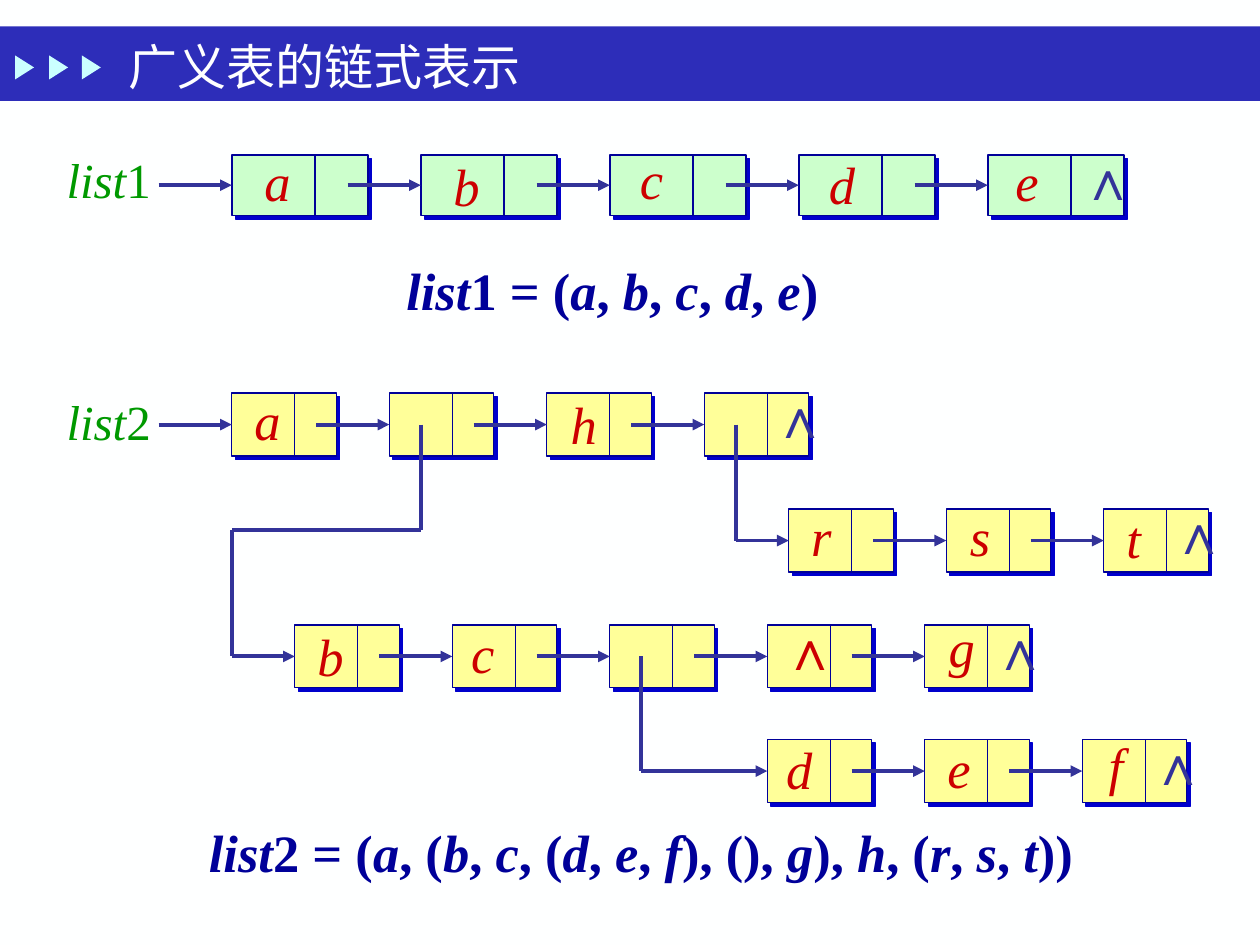
"""Build a slide that shows two generalized lists as linked nodes."""
from itertools import groupby
from lxml import etree
from pptx import Presentation
from pptx.dml.color import RGBColor
from pptx.enum.shapes import MSO_CONNECTOR, MSO_SHAPE
from pptx.enum.text import MSO_ANCHOR, MSO_AUTO_SIZE, PP_ALIGN
from pptx.oxml.ns import qn
from pptx.util import Pt

PX = 9144
STRAIGHT = MSO_CONNECTOR.STRAIGHT
RECTANGLE = MSO_SHAPE.RECTANGLE
TRIANGLE = MSO_SHAPE.ISOSCELES_TRIANGLE
LEFT, CENTER = PP_ALIGN.LEFT, PP_ALIGN.CENTER
MIDDLE = MSO_ANCHOR.MIDDLE
NO_AUTO_SIZE = MSO_AUTO_SIZE.NONE
FIT_SHAPE = MSO_AUTO_SIZE.SHAPE_TO_FIT_TEXT
SERIF, SANS = "Times New Roman", "Noto Sans CJK SC"
COLORS = {
    "paper": "FEFFFF", "band": "2D2DB9", "marker": "CBFFFF",
    "formula": "000099", "border": "000099", "shadow": "0000CC",
    "arrow": "333399", "atom": "CC0000", "name": "009900",
    "green": "CCFFCC", "yellow": "FFFF99",
}
RGB = {name: RGBColor.from_string(value) for name, value in COLORS.items()}
LETTER_WIDTHS = {"c": 39, "e": 39, "h": 43, "s": 36, "r": 36, "t": 32, "f": 34, "∧": 47}

presentation = Presentation()
presentation.slide_width, presentation.slide_height = 1000 * PX, 750 * PX
slide = presentation.slides.add_slide(presentation.slide_layouts[5])
slide.background.fill.solid()
slide.background.fill.fore_color.rgb = RGB["paper"]
shapes = slide.shapes


def add_text(text, left, top, width, height, size, color, bold=False, wrap=False, align=LEFT):
    box = shapes.add_textbox(left * PX, top * PX, width * PX, height * PX)
    box.text_frame.word_wrap = wrap
    box.text_frame.auto_size = FIT_SHAPE
    paragraph = box.text_frame.paragraphs[0]
    paragraph.alignment = align
    for is_letter, characters in groupby(text, str.isalpha):
        run = paragraph.add_run()
        run.text = "".join(characters)
        run.font.name, run.font.size = SERIF, Pt(size)
        run.font.bold, run.font.italic = bold, is_letter
        run.font.color.rgb = RGB[color]


def add_line(start, end, color, weight, target=None):
    line = shapes.add_connector(STRAIGHT, *(value * PX for value in start + end))
    line.line.color.rgb = RGB[color]
    line.line.width = Pt(weight)
    properties = line._element.spPr
    etree.SubElement(properties, qn("a:effectLst"))
    if target is not None:
        etree.SubElement(properties.find(qn("a:ln")), qn("a:tailEnd"), type="triangle")
        line.end_connect(target, 1)


band = shapes.add_shape(RECTANGLE, 0, 21 * PX, 1000 * PX, 59 * PX)
markers = [shapes.add_shape(TRIANGLE, left * PX, 46 * PX, 19 * PX, 15 * PX) for left in (10, 37, 63)]
for shape, color in [(band, "band")] + [(marker, "marker") for marker in markers]:
    shape.shadow.inherit = False
    shape.fill.solid()
    shape.fill.fore_color.rgb = RGB[color]
    shape.line.fill.background()
for marker in markers:
    marker.rotation = 90

title = shapes.title
title.left, title.top, title.width, title.height = 92 * PX, 27 * PX, 700 * PX, 50 * PX
title.text_frame.text = "广义表的链式表示"
title.text_frame.vertical_anchor = MIDDLE
title.text_frame.auto_size = NO_AUTO_SIZE
title_paragraph = title.text_frame.paragraphs[0]
title_paragraph.alignment = LEFT
title_font = title_paragraph.runs[0].font
title_font.name, title_font.size = SANS, Pt(28)
title_font.color.rgb = RGB["paper"]
etree.SubElement(title_paragraph.runs[0]._r.rPr, qn("a:ea"), typeface=SANS)
shapes._spTree.append(title._element)

add_text("list1 = (a, b, c, d, e)", 38, 200, 896, 60, 30, "formula", True, True, CENTER)
add_text("list2 = (a, (b, c, (d, e, f), (), g), h, (r, s, t))", 156, 646, 721, 60, 30, "formula", True, True)
add_text("list1", 43, 114, 87, 57, 28, "name")
add_text("list2", 43, 306, 87, 57, 28, "name")

WIDE = {"step": 150, "width": 108, "height": 48, "divider": 66, "nil": 64, "fill": "green"}
NARROW = {"step": 125, "width": 83, "height": 50, "divider": 50, "nil": 44, "fill": "yellow"}
ROWS = [
    (WIDE, 184, 123, 58, [("a", 16, -10), ("b", 16, -6), ("c", 14, -11), ("d", 14, -7), ("e", 12, -10)]),
    (NARROW, 184, 312, 58, [("a", 8, -9), None, ("h", 9, -6), None]),
    (NARROW, 626, 404, 42, [("r", 8, -9), ("s", 9, -9), ("t", 8, -7)]),
    (NARROW, 234, 496, 50, [("b", 8, -6), ("c", 5, -8), None, ("∧", 2, -13), ("g", 9, -13)]),
    (NARROW, 609, 587, 100, [("d", 5, -7), ("e", 8, -8), ("f", 11, -10)]),
]
for style, row_left, top, first_arrow, atoms in ROWS:
    middle = top + style["height"] // 2
    for index, atom in enumerate(atoms):
        left = row_left + index * style["step"]
        node = shapes.add_shape(RECTANGLE, left * PX, top * PX, style["width"] * PX, style["height"] * PX)
        node.fill.solid()
        node.fill.fore_color.rgb = RGB[style["fill"]]
        node.line.color.rgb = RGB["border"]
        node.line.width = Pt(0.75)
        node.shadow.inherit = False
        effects = node._element.spPr.find(qn("a:effectLst"))
        shadow = etree.SubElement(effects, qn("a:outerShdw"), dist=str(Pt(2.8)), dir="2700000",
                                  algn="ctr", rotWithShape="0")
        etree.SubElement(shadow, qn("a:srgbClr"), val=COLORS["shadow"])

        divider = left + style["divider"]
        add_line((divider, top), (divider, top + style["height"]), "border", 0.75)
        arrow_length = 58 if index else first_arrow
        add_line((left - arrow_length, middle), (left, middle), "arrow", 2.25, node)
        if atom:
            letter, shift_x, shift_y = atom
            size, height = (32, 63) if letter == "∧" else (30, 60)
            add_text(letter, left + shift_x, top + shift_y, LETTER_WIDTHS.get(letter, 41), height, size, "atom")
    add_text("∧", left + style["nil"], top - 13, 47, 63, 32, "arrow")

SUBLIST_PATHS = [
    [(584, 337), (584, 429)],
    [(334, 337), (334, 421), (184, 421), (184, 521)],
    [(509, 521), (509, 612)],
]
for points in SUBLIST_PATHS:
    for start, end in zip(points, points[1:]):
        add_line(start, end, "arrow", 2.25)

presentation.save("out.pptx")
